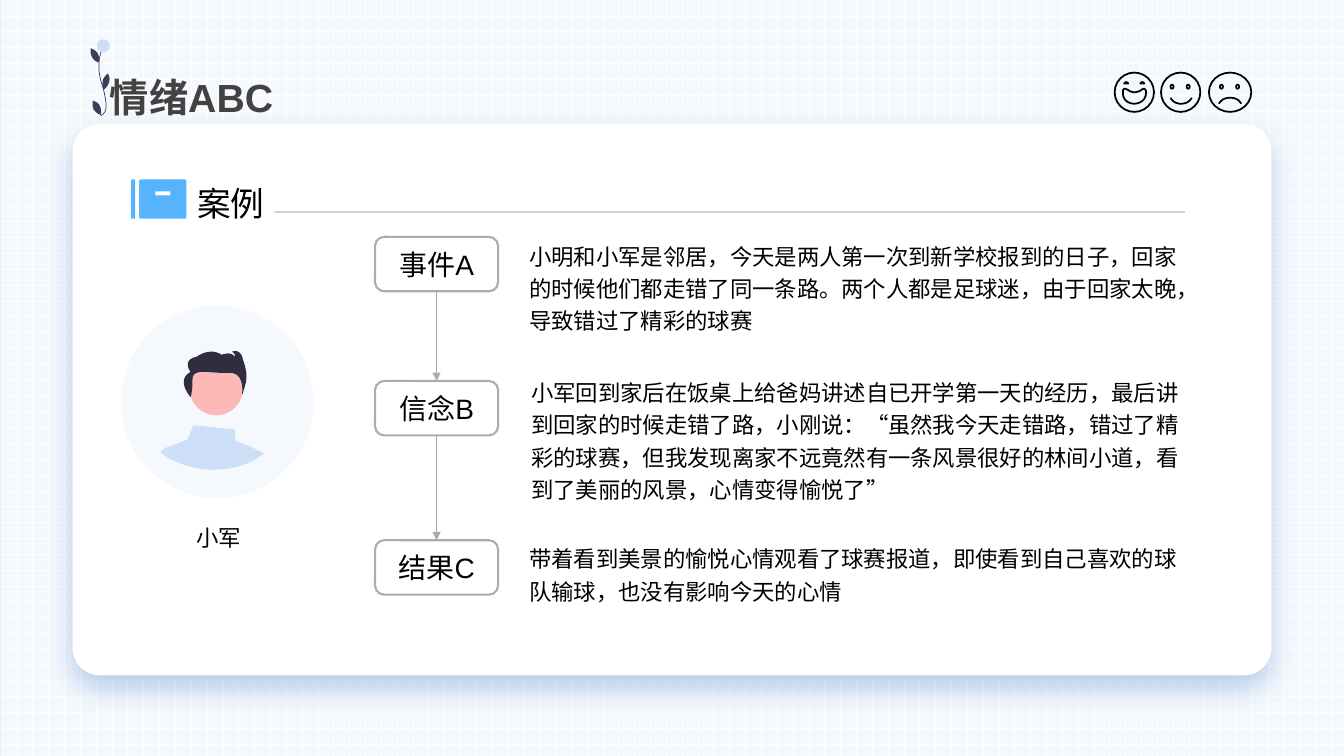
from lxml import etree
from pptx import Presentation
from pptx.dml.color import RGBColor
from pptx.enum.dml import MSO_PATTERN
from pptx.enum.shapes import MSO_CONNECTOR, MSO_SHAPE
from pptx.enum.text import MSO_ANCHOR, MSO_AUTO_SIZE, PP_ALIGN
from pptx.oxml.ns import qn
from pptx.util import Inches, Pt

RECT, ROUND, OVAL = MSO_SHAPE.RECTANGLE, MSO_SHAPE.ROUNDED_RECTANGLE, MSO_SHAPE.OVAL
STRAIGHT, DOTS = MSO_CONNECTOR.STRAIGHT, MSO_PATTERN.DOTTED_GRID
LEFT, CENTER = PP_ALIGN.LEFT, PP_ALIGN.CENTER
TOP, MIDDLE = MSO_ANCHOR.TOP, MSO_ANCHOR.MIDDLE
FIXED_SIZE = MSO_AUTO_SIZE.NONE

WHITE, BLACK = RGBColor(255, 255, 255), RGBColor(0, 0, 0)
EDGE = RGBColor(0xE6, 0xEF, 0xFB)
PALE = RGBColor(0xF5, 0xF9, 0xFD)
LIGHT_BLUE = RGBColor(0xCD, 0xDF, 0xF7)
BOOK_BLUE = RGBColor(0x56, 0xB4, 0xFF)
TITLE_GRAY = RGBColor(0x42, 0x42, 0x42)
BOX_GRAY = RGBColor(0xAF, 0xAB, 0xAB)
RULE_GRAY = RGBColor(0xD0, 0xCE, 0xCE)
LEAF = RGBColor(0x3F, 0x3D, 0x56)
HAIR = RGBColor(0x2F, 0x2E, 0x41)
SKIN = RGBColor(0xFF, 0xB8, 0xB8)
ARIAL, CJK = "Arial", "Noto Sans CJK SC"

# Content
TITLE, SECTION, PERSON = "情绪ABC", "案例", "小军"
# label, top of box, story, left, top and height of story, latin font
STEPS = [
    ("事件A", 2.35,
     "小明和小军是邻居，今天是两人第一次到新学校报到的日子，回家的时候他们都走错了同一条路。"
     "两个人都是足球迷，由于回家太晚，导致错过了精彩的球赛", 5.15, 2.31, 1.04, CJK),
    ("信念B", 3.78,
     "小军回到家后在饭桌上给爸妈讲述自已开学第一天的经历，最后讲到回家的时候走错了路，小刚说："
     "“虽然我今天走错路，错过了精彩的球赛，但我发现离家不远竟然有一条风景很好的林间小道，"
     "看到了美丽的风景，心情变得愉悦了”", 5.17, 3.66, 1.37, ARIAL),
    ("结果C", 5.36,
     "带着看到美景的愉悦心情观看了球赛报道，即使看到自己喜欢的球队输球，也没有影响今天的心情",
     5.15, 5.31, 0.72, ARIAL),
]

# Outlines: a start point, then lines (2 numbers) or cubic curves (6 numbers)
LEAVES = [
    [(1.08, .82), (1.07, .86, 1.03, .89, 1.03, .89), (1.03, .89, 1.01, .85, 1.02, .8),
     (1.03, .76, 1.07, .73, 1.07, .73), (1.07, .73, 1.1, .77, 1.08, .82)],
    [(.99, 1.05), (1.01, 1.09, 1, 1.14, 1, 1.14), (1, 1.14, .96, 1.13, .93, 1.09),
     (.91, 1.05, .92, 1, .92, 1), (.92, 1, .97, 1.01, .99, 1.05)],
    [(.97, .53), (.99, .57, .98, .62, .98, .62), (.98, .62, .93, .61, .91, .56),
     (.89, .52, .9, .48, .9, .48), (.9, .48, .94, .49, .97, .53)],
]
STEM = [(1.03, .46), (1.03, .46, 1.01, .49, .99, .56), (.98, .62, .97, .73, 1.02, .86),
        (1.06, 1.01, 1.06, 1.08, 1.04, 1.11), (1.02, 1.14, 1, 1.15, 1, 1.15)]
HAIR_SHAPE = [
    (1.89, 3.94), (1.89, 3.94, 1.91, 3.9, 1.91, 3.77), (1.9, 3.64, 2.1, 3.71, 2.27, 3.7),
    (2.44, 3.69, 2.4, 3.92, 2.4, 3.92), (2.4, 3.92, 2.41, 3.91, 2.44, 3.79),
    (2.46, 3.68, 2.41, 3.57, 2.41, 3.57), (2.39, 3.45, 2.3, 3.49, 2.3, 3.49),
    (2.34, 3.51, 2.33, 3.54, 2.33, 3.54), (2.29, 3.48, 2.2, 3.52, 2.2, 3.52),
    (2.08, 3.44, 1.95, 3.54, 1.95, 3.54), (1.8, 3.57, 1.89, 3.69, 1.89, 3.69),
    (1.74, 3.77, 1.89, 3.94, 1.89, 3.94)]
SHIRT = [
    (2.58, 4.48), (2.5, 4.44, 2.43, 4.4, 2.34, 4.38), (2.33, 4.26), (1.92, 4.22),
    (1.86, 4.36), (1.71, 4.42), (1.67, 4.43, 1.62, 4.45, 1.59, 4.49),
    (1.66, 4.54, 1.77, 4.6, 1.89, 4.63), (1.97, 4.65, 2.04, 4.66, 2.12, 4.66),
    (2.29, 4.66, 2.46, 4.62, 2.62, 4.5)]
# Faces: centre, width, mouth and laughing eyes measured from the centre
LAUGH = [(.11, -.02), (.1, -.03, .1, -.04, .06, -.01), (.02, .01, -.02, .01, -.05, -.01),
         (-.1, -.04, -.1, -.03, -.11, -.02), (-.11, -.02, -.14, .11, 0, .12),
         (.14, .11, .12, -.02, .11, -.02)]
SMILE = [(-.1, .06), (-.08, .1, -.04, .12, 0, .12), (.05, .12, .09, .1, .11, .06)]
FROWN = [(.11, .12), (.09, .08, .05, .06, 0, .06), (-.05, .06, -.09, .08, -.11, .12)]
LAUGH_EYE = [(.02, -.08), (.01, -.1, -.01, -.1, -.02, -.08)]
FACES = [(11.25, .39, LAUGH, True), (11.71, .39, SMILE, False), (12.2, .42, FROWN, False)]
FACE_Y, EYE_DX = .91, .08

prs = Presentation()
prs.slide_width, prs.slide_height = Inches(13.33), Inches(7.5)
slide = prs.slides.add_slide(prs.slide_layouts[5])
shapes = slide.shapes


def paint(shape, fill=None, line=None, width=1.25):
    shape.shadow.inherit = False
    if fill is None:
        shape.fill.background()
    else:
        shape.fill.solid()
        shape.fill.fore_color.rgb = fill
    if line is None:
        shape.line.fill.background()
    else:
        shape.line.color.rgb, shape.line.width = line, Pt(width)
    return shape


def add(kind, left, top, width, height, **look):
    look_width = look.pop("line_width", 1.25)
    box = map(Inches, (left, top, width, height))
    return paint(shapes.add_shape(kind, *box), width=look_width, **look)


def outline(segments, dx=0, dy=0, closed=True, **look):
    points = [segments[0]]
    for segment in segments[1:]:
        if len(segment) == 2:
            points.append(segment)
            continue
        ends = [points[-1], segment[:2], segment[2:4], segment[4:]]
        for step in range(1, 13):
            t = step / 12
            weights = ((1 - t) ** 3, 3 * t * (1 - t) ** 2, 3 * t * t * (1 - t), t ** 3)
            points.append(tuple(sum(w * end[axis] for w, end in zip(weights, ends))
                                for axis in (0, 1)))
    points = [((x + dx) * 1000, (y + dy) * 1000) for x, y in points]
    builder = shapes.build_freeform(*points[0], scale=Inches(1) / 1000)
    builder.add_line_segments(points[1:], close=closed)
    return paint(builder.convert_to_shape(), **look)


def write(shape, text, size, font=ARIAL, color=BLACK, bold=False, align=LEFT,
          anchor=TOP, wrap=True, spacing=1.2, inset=None):
    frame = shape.text_frame
    frame.text = text
    layout = {"word_wrap": wrap, "vertical_anchor": anchor, "auto_size": FIXED_SIZE}
    if inset is not None:
        for side in ("left", "top", "right", "bottom"):
            layout["margin_" + side] = Inches(inset)
    paragraph = frame.paragraphs[0]
    run = paragraph.runs[0]
    for target, values in (
            (frame, layout),
            (paragraph, {"alignment": align, "line_spacing": spacing}),
            (run.font, {"size": Pt(size), "name": font, "bold": bold})):
        for name, value in values.items():
            setattr(target, name, value)
    run.font.color.rgb = color
    etree.SubElement(run._r.get_or_add_rPr(), qn("a:ea"), typeface=CJK)


def textbox(left, top, width, height, text, size, **look):
    write(shapes.add_textbox(*map(Inches, (left, top, width, height))), text, size, **look)


def connect(x1, y1, x2, y2, color, width):
    link = shapes.add_connector(STRAIGHT, *map(Inches, (x1, y1, x2, y2)))
    link.line.color.rgb, link.line.width = color, Pt(width)
    etree.SubElement(link._element.spPr, qn("a:effectLst"))
    return link


# Backdrop and card with a soft shadow
slide.background.fill.solid()
slide.background.fill.fore_color.rgb = EDGE
grid = add(RECT, 0.01, 0, 13.32, 7.5)
grid.fill.patterned()
grid.fill.pattern = DOTS
grid.fill.fore_color.rgb, grid.fill.back_color.rgb = WHITE, PALE
card = add(ROUND, 0.72, 1.23, 11.89, 5.47, fill=WHITE)
card.adjustments[0] = 0.05
effects = card._element.spPr.find(qn("a:effectLst"))
shadow = etree.SubElement(effects, qn("a:outerShdw"), blurRad=str(Pt(20)), dist=str(Pt(10)),
                          dir="5400000", algn="t", rotWithShape="0")
tint = etree.SubElement(shadow, qn("a:srgbClr"), val="1F65C3")
etree.SubElement(tint, qn("a:alpha"), val="30000")

# Faces
for x, width, mouth, laughing in FACES:
    add(OVAL, x - width / 2, FACE_Y - .19, width, .39, line=BLACK)
    outline(mouth, x, FACE_Y, closed=laughing, line=BLACK)
    for eye_x in (x - EYE_DX, x + EYE_DX):
        if laughing:
            outline(LAUGH_EYE, eye_x, FACE_Y, line=BLACK)
        else:
            add(OVAL, eye_x - .02, FACE_Y - .07, .03, .04, line=BLACK)

# Plant and title
for leaf in LEAVES:
    outline(leaf, fill=LEAF)
outline(STEM, closed=False, line=LEAF, width=0.5)
add(OVAL, 0.96, 0.39, 0.13, 0.13, fill=LIGHT_BLUE)
title = shapes.title
title.left, title.top, title.width, title.height = map(Inches, (1.09, 0.65, 6.57, 0.53))
write(title, TITLE, 28, color=TITLE_GRAY, bold=True, anchor=MIDDLE, inset=0)
title._element.getparent().append(title._element)

# Section heading with book and rule
add(RECT, 1.3, 1.78, 0.04, 0.39, fill=BOOK_BLUE)
add(ROUND, 1.38, 1.78, 0.47, 0.39, fill=BOOK_BLUE).adjustments[0] = 0.05
add(RECT, 1.54, 1.9, 0.15, 0.04, fill=WHITE)
textbox(1.85, 1.7, 0.88, 0.54, SECTION, 24, font=CJK, align=CENTER, anchor=MIDDLE)
connect(2.73, 2.1, 11.75, 2.1, RULE_GRAY, 1.5)

# Person
add(OVAL, 1.2, 3.03, 1.91, 1.91, fill=PALE)
add(OVAL, 1.88, 3.59, 0.53, 0.53, fill=SKIN)
outline(HAIR_SHAPE, fill=HAIR)
outline(SHIRT, fill=LIGHT_BLUE)
textbox(1.85, 5.1, 0.65, 0.4, PERSON, 16, wrap=False)

# Steps, each joined to the one before
previous = None
for label, top, story, story_left, story_top, story_height, font in STEPS:
    step_box = add(ROUND, 3.72, top, 1.22, 0.54, line=BOX_GRAY, line_width=1.5)
    write(step_box, label, 20, align=CENTER, anchor=MIDDLE, spacing=1.0)
    textbox(story_left, story_top, 6.69, story_height, story, 16, font=font)
    if previous is not None:
        arrow = connect(4.33, top - 1, 4.33, top, BOX_GRAY, 0.5)
        arrow.begin_connect(previous, 2)
        arrow.end_connect(step_box, 0)
        etree.SubElement(arrow._element.spPr.find(qn("a:ln")), qn("a:tailEnd"), type="triangle")
    previous = step_box

prs.save("out.pptx")
